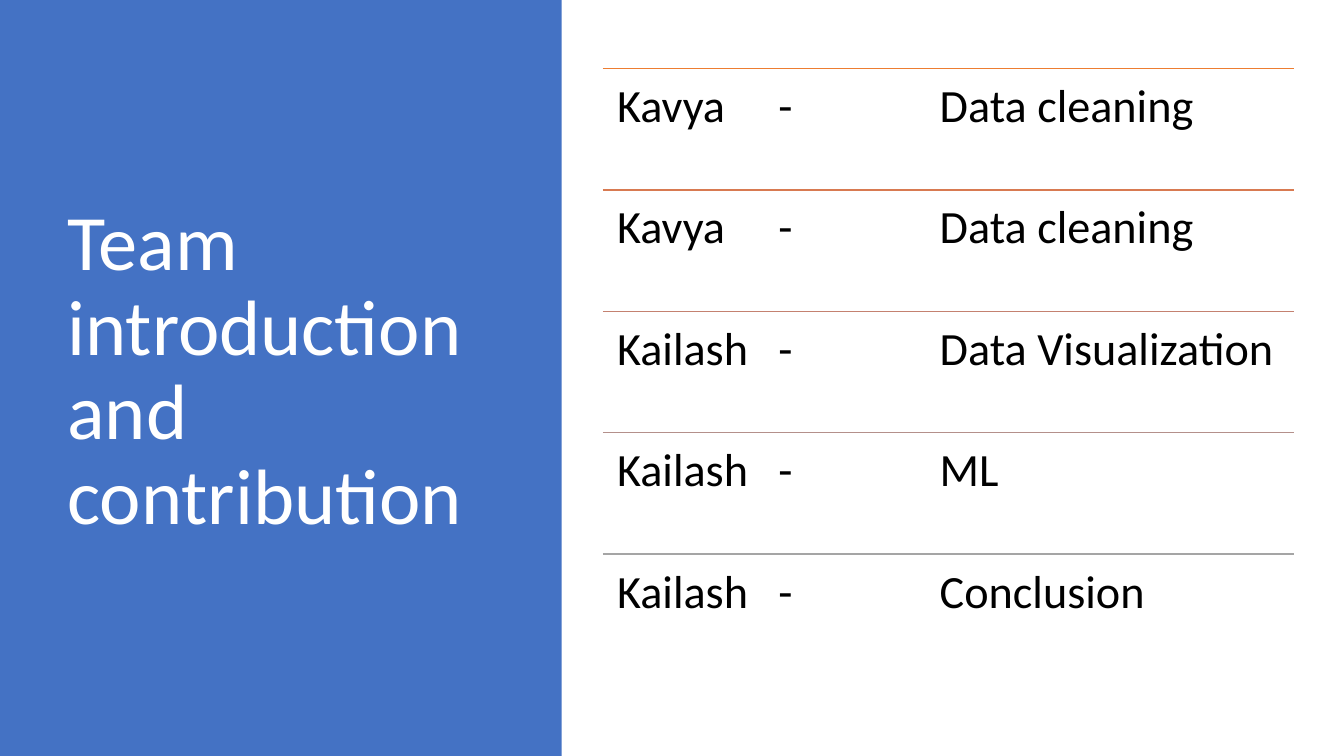
"""Build the team introduction and contribution slide."""
from lxml import etree
from pptx import Presentation
from pptx.dml.color import RGBColor
from pptx.enum.shapes import MSO_CONNECTOR as CONN, MSO_SHAPE as SHAPE
from pptx.enum.text import MSO_ANCHOR as ANCHOR
from pptx.oxml.ns import qn
from pptx.util import Inches, Pt

TITLE = "Team introduction and contribution"
ROWS = [
    ("Kavya", "Data cleaning", "ED7D31"),
    ("Kavya", "Data cleaning", "D87A51"),
    ("Kailash", "Data Visualization", "C48170"),
    ("Kailash", "ML", "B4908B"),
    ("Kailash", "Conclusion", "A5A5A5"),
]
WIDTH, HEIGHT = 13.33, 7.5
PANEL_W = 5.57
TOP, BODY_H = 0.68, 6.02
LEFT, RIGHT = 5.98, 12.83
ROW_H = BODY_H / len(ROWS)
TAB = 1.6


def color(value):
    return RGBColor.from_string(value)


def add_text(text, x, y, w, h, size, fill, inset=(0.1, 0.05), anchor=ANCHOR.TOP):
    tf = slide.shapes.add_textbox(Inches(x), Inches(y), Inches(w), Inches(h)).text_frame
    tf.word_wrap = True
    tf.vertical_anchor = anchor
    tf.margin_left = tf.margin_right = Inches(inset[0])
    tf.margin_top = tf.margin_bottom = Inches(inset[1])
    p = tf.paragraphs[0]
    p.text = text
    p.line_spacing = 0.9
    font = p.runs[0].font
    font.name, font.size = "Calibri", Pt(size)
    font.color.rgb = color(fill)
    return p


def add_tabs(p, count):
    tabs = etree.SubElement(p._p.get_or_add_pPr(), qn("a:tabLst"))
    for i in range(1, count + 1):
        etree.SubElement(tabs, qn("a:tab"), pos=str(Inches(TAB * i)), algn="l")


def add_rule(y, line):
    c = slide.shapes.add_connector(CONN.STRAIGHT, Inches(LEFT), Inches(y), Inches(RIGHT), Inches(y))
    c.line.color.rgb = color(line)
    c.line.width = Pt(1)
    etree.SubElement(c._element.spPr, qn("a:effectLst"))


prs = Presentation()
prs.slide_width, prs.slide_height = Inches(WIDTH), Inches(HEIGHT)
slide = prs.slides.add_slide(prs.slide_layouts[6])

panel = slide.shapes.add_shape(SHAPE.RECTANGLE, 0, 0, Inches(PANEL_W), Inches(HEIGHT))
panel.shadow.inherit = False
panel.fill.solid()
panel.fill.fore_color.rgb = color("4472C4")
panel.line.fill.background()
add_text(TITLE, 0.57, TOP, 4.16, BODY_H, 56, "FFFFFF", anchor=ANCHOR.MIDDLE)

for i, (name, task, line) in enumerate(ROWS):
    y = TOP + i * ROW_H
    add_rule(y, line)
    p = add_text("\t".join((name, "-", task)), LEFT, y, RIGHT - LEFT, ROW_H, 33, "000000", (0.14, 0.14))
    add_tabs(p, 2)

prs.save("out.pptx")
